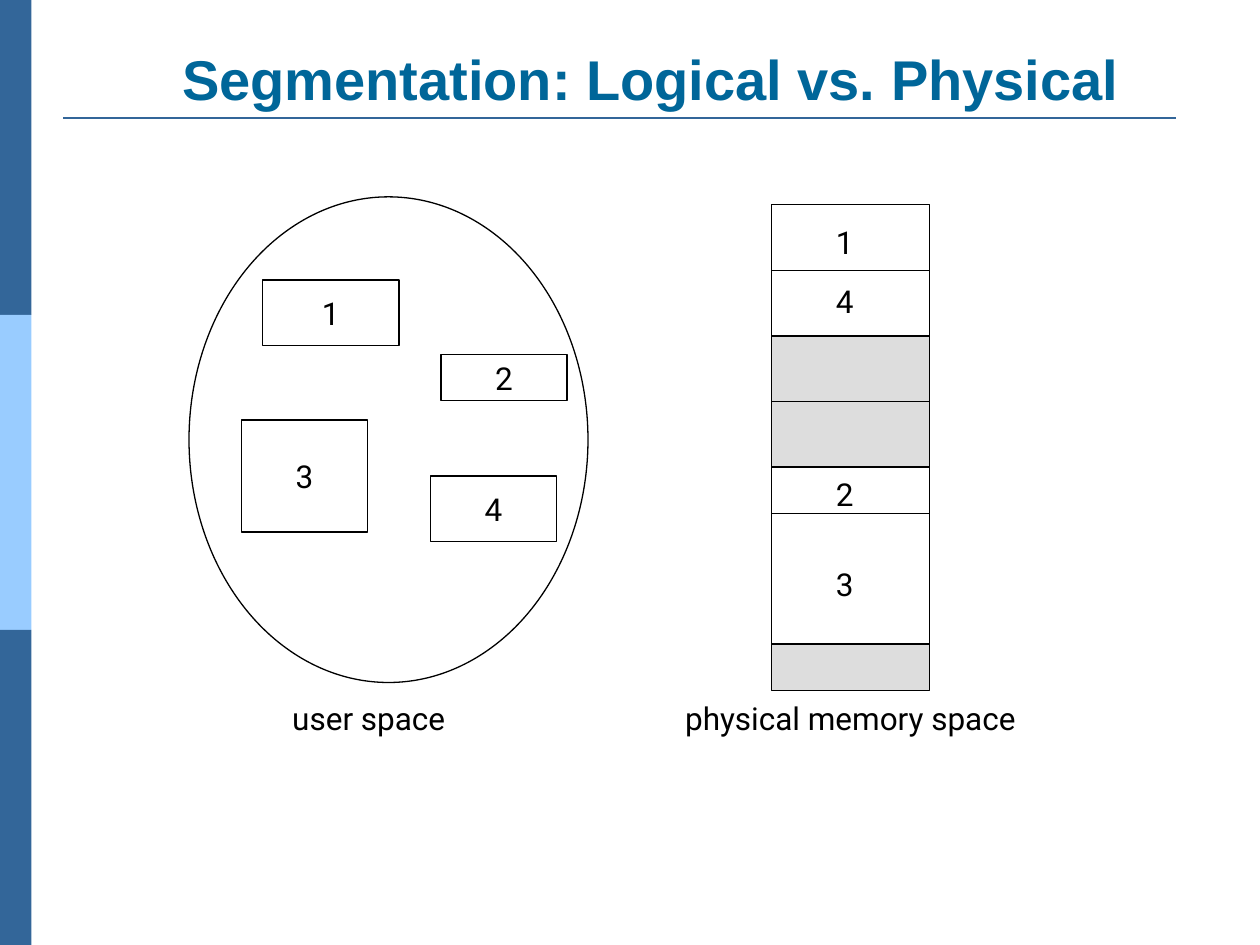
from lxml.etree import SubElement
from pptx import Presentation
from pptx.dml.color import RGBColor
from pptx.enum.shapes import MSO_CONNECTOR as Connector, MSO_SHAPE as Preset
from pptx.enum.text import MSO_ANCHOR as Anchor, MSO_AUTO_SIZE as AutoSize, PP_ALIGN as Align
from pptx.oxml.ns import qn
from pptx.util import Pt

BLACK = RGBColor(0x00, 0x00, 0x00)
WHITE = RGBColor(0xFF, 0xFF, 0xFF)
GREY = RGBColor(0xDD, 0xDD, 0xDD)
DARK_BLUE = RGBColor(0x33, 0x66, 0x99)
LIGHT_BLUE = RGBColor(0x99, 0xCC, 0xFF)
TITLE_BLUE = RGBColor(0x00, 0x66, 0x99)

LEFT, RIGHT = 1, 3  # connection sites of a rectangle
MEMORY_LEFT, MEMORY_WIDTH = 441, 90


def write(shape, text, size=18, font="Roboto", color=BLACK, bold=False,
          anchor=Anchor.MIDDLE, wrap=False):
    frame = shape.text_frame
    frame.word_wrap = wrap
    frame.vertical_anchor = anchor
    paragraph = frame.paragraphs[0]
    paragraph.alignment = Align.CENTER
    run = paragraph.add_run()
    run.text = text
    run.font.size = Pt(size)
    run.font.name = font
    run.font.bold = bold
    run.font.color.rgb = color


def add_box(shapes, bounds, fill=WHITE, line=BLACK, preset=Preset.RECTANGLE):
    shape = shapes.add_shape(preset, *map(Pt, bounds))
    shape.shadow.inherit = False
    shape.fill.solid()
    shape.fill.fore_color.rgb = fill
    if line is None:
        shape.line.fill.background()
    else:
        shape.line.color.rgb = line
        shape.line.width = Pt(0.75)
    return shape


def add_rule(shapes, left, right, y, color=BLACK, width=0.75):
    rule = shapes.add_connector(Connector.STRAIGHT, Pt(left), Pt(y), Pt(right), Pt(y))
    rule.line.color.rgb = color
    rule.line.width = Pt(width)
    SubElement(rule._element.spPr, qn("a:effectLst"))
    return rule


def add_label(shapes, text, bounds):
    label = shapes.add_textbox(*map(Pt, bounds))
    write(label, text)
    label.text_frame.auto_size = AutoSize.SHAPE_TO_FIT_TEXT


def add_frame(shapes):
    # Side bar in three equal bands, title and the rule below it
    for band, color in enumerate((DARK_BLUE, LIGHT_BLUE, DARK_BLUE)):
        add_box(shapes, (0, band * 180, 18, 180), color, None)
    add_rule(shapes, 36, 672, 67.5, DARK_BLUE, 1.5)
    title = shapes.add_textbox(Pt(65), Pt(27.5), Pt(614), Pt(40))
    write(title, "Segmentation: Logical vs. Physical", 32, "Arial", TITLE_BLUE,
          bold=True, anchor=Anchor.BOTTOM, wrap=True)


def add_user_space(shapes):
    add_box(shapes, (108, 112.5, 228, 277.5), preset=Preset.OVAL)
    segments = {
        "1": (150, 160, 78, 37.5),
        "3": (138, 240, 72, 64),
        "2": (252, 202.5, 72, 26.5),
        "4": (246, 272, 72, 37.5),
    }
    for number, bounds in segments.items():
        write(add_box(shapes, bounds), number)
    add_label(shapes, "user space ", (159, 396, 108, 29))


def add_physical_memory(shapes):
    memory = shapes.add_group_shape().shapes
    right = MEMORY_LEFT + MEMORY_WIDTH

    # Blocks stacked downwards: height, fill, offset of the dividing line
    top = 117
    for height, fill, divider in ((75, WHITE, 37.5), (75, GREY, 37.5),
                                  (101, WHITE, 26.5), (26.5, GREY, None)):
        block = add_box(memory, (MEMORY_LEFT, top, MEMORY_WIDTH, height), fill)
        if divider:
            rule = add_rule(memory, MEMORY_LEFT, right, top + divider)
            if divider == height / 2:
                rule.begin_connect(block, LEFT)
                rule.end_connect(block, RIGHT)
        top += height

    # Segment numbers
    for number, label_top in (("1", 124), ("4", 157.5), ("2", 268), ("3", 319)):
        add_label(memory, number, (470.5, label_top, 24.5, 29))
    add_label(shapes, "physical memory space", (384, 396, 204, 29))


def main():
    presentation = Presentation()
    presentation.slide_width, presentation.slide_height = Pt(720), Pt(540)
    slide = presentation.slides.add_slide(presentation.slide_layouts[6])
    add_frame(slide.shapes)
    add_user_space(slide.shapes)
    add_physical_memory(slide.shapes)
    presentation.save("out.pptx")


if __name__ == "__main__":
    main()
